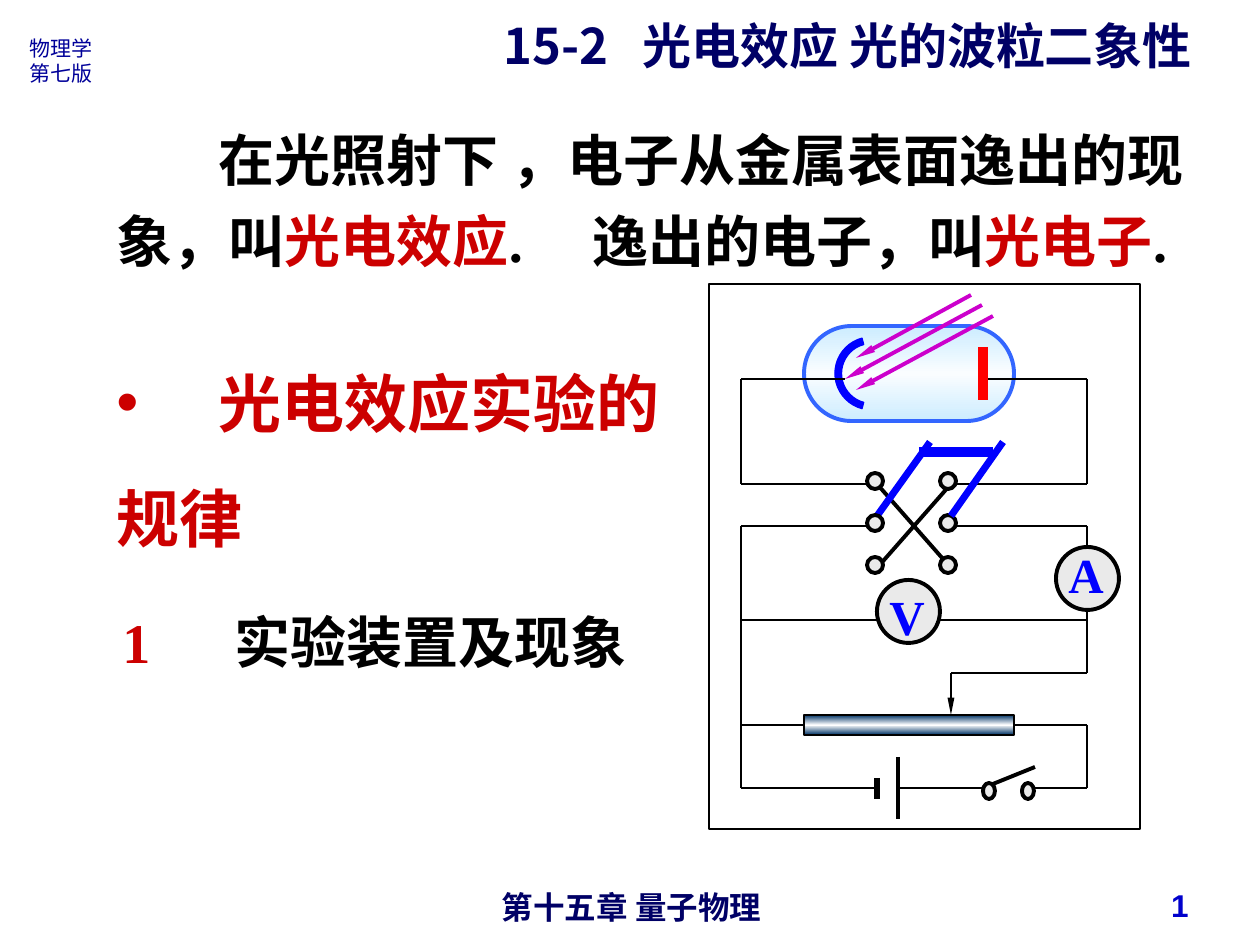
import copy

import pptx
import pptx.dml.color
import pptx.enum.shapes
import pptx.enum.text
import pptx.oxml.ns
import pptx.util
from lxml import etree

RGB = pptx.dml.color.RGBColor
SHAPE = pptx.enum.shapes.MSO_SHAPE
ALIGN = pptx.enum.text.PP_ALIGN
ANCHOR = pptx.enum.text.MSO_ANCHOR
qn = pptx.oxml.ns.qn

PX_PER_INCH = 126
BLACK = RGB(0x00, 0x00, 0x00)
WHITE = RGB(0xFF, 0xFF, 0xFF)
NAVY = RGB(0x00, 0x00, 0x66)
EDITION_BLUE = RGB(0x00, 0x00, 0x99)
PAGE_BLUE = RGB(0x00, 0x00, 0xCC)
BLUE = RGB(0x00, 0x00, 0xFF)
CRIMSON = RGB(0xCC, 0x00, 0x00)
RED = RGB(0xFF, 0x00, 0x00)
LIGHT_RAY = RGB(0xCC, 0x00, 0xCC)
TUBE_EDGE = RGB(0x33, 0x66, 0xFF)
TUBE_RIM = RGB(0xCC, 0xEC, 0xFF)
TUBE_CORE = RGB(0xFA, 0xFD, 0xFF)
RHEOSTAT_RIM = RGB(0x00, 0x33, 0x66)
GREY = RGB(0xEA, 0xEA, 0xEA)

CJK = "Noto Sans CJK SC"
TIMES = "Times New Roman"


def px(length):
    return pptx.util.Emu(round(length * 914400 / PX_PER_INCH))


def add_text(slide, box, paragraphs, size, color, font=CJK, bold=True, align=ALIGN.LEFT,
             anchor=ANCHOR.TOP, margin=0, indent=0, tab=None, bullet=None, gap=0, spacing=1.0):
    """Each paragraph is a list of (text, color) or (text, color, font) runs; None keeps the default."""
    frame = slide.shapes.add_textbox(*map(px, box)).text_frame
    frame.word_wrap = True
    frame.vertical_anchor = anchor
    for index, runs in enumerate(paragraphs):
        paragraph = frame.paragraphs[0] if index == 0 else frame.add_paragraph()
        paragraph.alignment = align
        paragraph.line_spacing = spacing
        properties = paragraph._p.get_or_add_pPr()
        properties.set("marL", str(px(margin)))
        properties.set("indent", str(px(indent)))
        if tab:
            properties.set("defTabSz", str(px(tab)))
        if index:
            paragraph.space_before = pptx.util.Pt(gap)
        elif bullet:
            etree.SubElement(properties, qn("a:buFont"), typeface="Arial")
            etree.SubElement(properties, qn("a:buChar"), char=bullet)
        for text, run_color, *run_font in runs:
            run = paragraph.add_run()
            run.text = text
            run.font.size = pptx.util.Pt(size)
            run.font.bold = bold
            run.font.color.rgb = run_color or color
            run.font.name = run_font[0] if run_font else font
            etree.SubElement(run._r.get_or_add_rPr(), qn("a:ea"), typeface=CJK)


def add_part(slide, kind, box, fill, edge=BLACK, width=2.25):
    """Fill is one color, or a (rim, core) pair for a vertical gradient."""
    part = slide.shapes.add_shape(kind, *map(px, box))
    part.shadow.inherit = False
    part.line.color.rgb = edge
    part.line.width = pptx.util.Pt(width)
    if isinstance(fill, RGB):
        part.fill.solid()
        part.fill.fore_color.rgb = fill
        return part
    part.fill.gradient()
    part.fill.gradient_angle = 90
    stops = part._element.spPr.find(".//" + qn("a:gsLst"))
    stops.insert(1, copy.deepcopy(stops[0]))
    for stop, color, position in zip(part.fill.gradient_stops, (*fill, fill[0]), (0, 0.5, 1)):
        stop.color.rgb = color
        stop.position = position
    return part


def add_line(slide, points, color=BLACK, width=1.5, arrow=False):
    line = slide.shapes.add_connector(pptx.enum.shapes.MSO_CONNECTOR.STRAIGHT, *map(px, points))
    line.line.color.rgb = color
    line.line.width = pptx.util.Pt(width)
    if arrow:
        etree.SubElement(line.line._get_or_add_ln(), qn("a:tailEnd"),
                         type="triangle", w="sm", len="lg")
    etree.SubElement(line._element.spPr, qn("a:effectLst"))
    return line


def draw_circuit(slide, left, top, width, height):
    def at(x, y, *size):
        return (left + x, top + y, *size)

    def line(x1, y1, x2, y2, **style):
        return add_line(slide, at(x1, y1) + at(x2, y2), **style)

    def part(kind, x, y, w, h, fill, **style):
        return add_part(slide, kind, at(x, y, w, h), fill, **style)

    west, east = 32, 378
    pole_left, pole_right = 168, 242
    tube_y, upper_y, lower_y, volt_y, slider_y, rheo_y, cell_y = 95, 200, 242, 336, 389, 441, 504

    part(SHAPE.RECTANGLE, 0, 0, width, height, WHITE, width=0.75)
    tube = part(SHAPE.ROUNDED_RECTANGLE, 95, 42, 210, 95, (TUBE_RIM, TUBE_CORE), edge=TUBE_EDGE)
    tube.adjustments[0] = 0.5
    cathode = part(SHAPE.BLOCK_ARC, 126, 53, 73, 73, BLUE, edge=BLUE, width=0.75)
    for index, value in enumerate((63, 153, 0.09)):  # 105 to 255 degrees, then thickness
        cathode.adjustments[index] = value
    rheostat = part(SHAPE.RECTANGLE, 95, 431, 210, 20, (RHEOSTAT_RIM, WHITE), width=1.5)

    for y, x1, x2 in (
        (tube_y, west, 136), (tube_y, 274, east),
        (upper_y, west, pole_left), (upper_y, pole_right, east),
        (lower_y, west, pole_left), (lower_y, pole_right, east),
        (volt_y, west, east), (slider_y, pole_right, east),
        (cell_y, west, pole_left), (cell_y, 189, 274), (cell_y, 326, east),
    ):
        line(x1, y, x2, y)
    for x, y1, y2 in (
        (west, tube_y, upper_y), (west, lower_y, cell_y), (east, tube_y, upper_y),
        (east, lower_y, slider_y), (east, rheo_y, cell_y),
    ):
        line(x, y1, x, y2)
    line(west, rheo_y, 95, rheo_y).end_connect(rheostat, 1)
    line(305, rheo_y, east, rheo_y).begin_connect(rheostat, 3)
    line(pole_right, slider_y, pole_right, 431, arrow=True)

    line(pole_left, upper_y, pole_right, 284, width=2.25)
    line(pole_right, upper_y, pole_left, 284, width=2.25)
    line(pole_left, 494, pole_left, 515, width=3)
    line(189, 473, 189, 535, width=2.25)
    line(274, cell_y, 326, 483, width=2.25)
    for ray in ((262, 11, 147, 74), (273, 21, 136, 95), (284, 32, 147, 106)):
        line(*ray, color=LIGHT_RAY, width=2.25, arrow=True)

    line(pole_left, 232, 221, 158, color=BLUE, width=4)
    for x in (274, 313):
        part(SHAPE.OVAL, x, 499, 12, 16, GREY)
    for x in (158, 231):
        for row in range(3):
            part(SHAPE.OVAL, x, 189 + 42 * row, 16, 16, GREY)
    line(pole_right, 232, 294, 158, color=BLUE, width=4)
    line(210, 168, 284, 168, color=BLUE, width=6)
    line(274, 63, 274, 116, color=RED, width=6)

    for letter, x, y, letter_y in (("V", 168, 296, 296), ("A", 347, 263, 254)):
        part(SHAPE.OVAL, x, y, 63, 63, GREY)
        add_text(slide, at(x, letter_y, 73, 72), [[(letter, None)]], 28, BLUE, font=TIMES)


def draw_header(slide, left, top):
    add_text(slide, (left + 474, top, 811, 72), [[("15-2\t光电效应 光的波粒二象性", None)]],
             28, NAVY, tab=139)
    add_text(slide, (left, top + 20, 91, 63), [[("物理学", None)], [("第七版", None)]],
             12, EDITION_BLUE, bold=False)


def draw_body(slide, left, top):
    add_text(slide, (left, top, 1110, 174), [[
        ("在光照射下 ，电子从金属表面逸出的现象，叫", None),
        ("光电效应", CRIMSON),
        (".\t逸出的电子，叫", None),
        ("光电子", CRIMSON),
        (".", None),
    ]], 32, BLACK, font=TIMES, indent=102, tab=238, spacing=1.2)
    add_text(slide, (left, top + 252, 600, 204), [[("光电效应实验的", None)], [("规律", None)]],
             36, CRIMSON, margin=102, indent=-102, bullet="•", gap=22.5)
    add_text(slide, (left + 6, top + 495, 640, 81),
             [[("1\t", CRIMSON), ("实验装置及现象", None, "Arial")]],
             32, BLACK, font=TIMES, tab=112)


def draw_footer(slide, left, top):
    add_text(slide, (left, top + 2, 399, 37), [[("第十五章 量子物理", None)]],
             18, NAVY, font="Arial", align=ALIGN.CENTER)
    add_text(slide, (left + 475, top, 294, 50), [[("1", None)]],
             18, PAGE_BLUE, font="Arial", align=ALIGN.RIGHT, anchor=ANCHOR.MIDDLE)


def main():
    deck = pptx.Presentation()
    deck.slide_width, deck.slide_height = px(1260), px(945)
    slide = deck.slides.add_slide(deck.slide_layouts[6])
    draw_header(slide, 17, 9)
    draw_body(slide, 104, 106)
    draw_circuit(slide, 709, 284, 431, 545)
    draw_footer(slide, 432, 880)
    deck.save("out.pptx")


if __name__ == "__main__":
    main()
